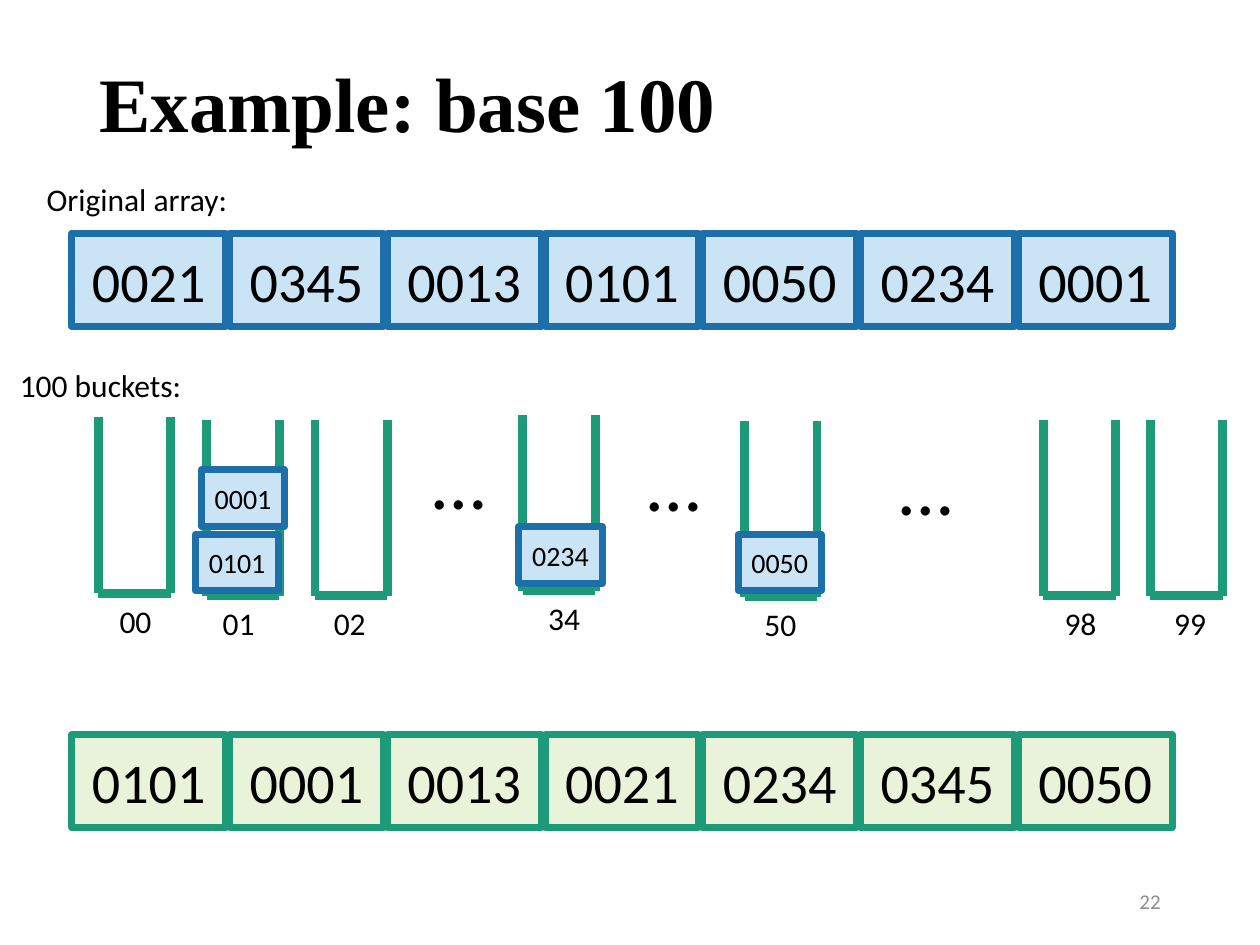
from dataclasses import dataclass

from pptx import Presentation
from pptx.dml.color import RGBColor
from pptx.enum.shapes import MSO_CONNECTOR, MSO_SHAPE
from pptx.enum.text import MSO_ANCHOR, MSO_AUTO_SIZE, PP_ALIGN
from pptx.oxml.ns import qn
from pptx.util import Cm, Pt

RECT, LINE = MSO_SHAPE.RECTANGLE, MSO_CONNECTOR.STRAIGHT
TOP, MID = MSO_ANCHOR.TOP, MSO_ANCHOR.MIDDLE
LEFT, CENTER, RIGHT = PP_ALIGN.LEFT, PP_ALIGN.CENTER, PP_ALIGN.RIGHT
GROW, FIXED = MSO_AUTO_SIZE.SHAPE_TO_FIT_TEXT, MSO_AUTO_SIZE.NONE


@dataclass(frozen=True)
class Theme:
    body: str = "Calibri"
    head: str = "Times New Roman"
    ink: str = "000000"
    gray: str = "8C8C8C"
    blue: str = "1D6FA9"
    sky: str = "CAE4F6"
    green: str = "1D9A78"
    lime: str = "E8F3DA"
    title: int = 44
    dots: int = 44
    cell: int = 32
    label: int = 18
    item: int = 16
    page: int = 12
    edge: int = 4
    wall: int = 5


CELL_W, CELL_H, STEP = 3.1, 1.88, 3.18
ROW_X = 1.45
BIN_W, BIN_H = 1.46, 3.55

# label, left of bucket, top of bucket, left of label
BINS = [
    ("00", 1.98, 8.41, 2.16),
    ("01", 4.17, 8.46, 4.24),
    ("02", 6.35, 8.46, 6.48),
    ("34", 10.54, 8.36, 10.8),
    ("50", 15.01, 8.48, 15.16),
    ("98", 21.03, 8.46, 21.21),
    ("99", 23.19, 8.46, 23.42),
]
DOTS = [(8.46, 8.59), (12.8, 8.64), (17.88, 8.71)]
ITEMS = [
    ("0101", 3.94, 10.77),
    ("0001", 4.06, 9.47),
    ("0050", 14.88, 10.77),
    ("0234", 10.46, 10.62),
]
BEFORE = ["0021", "0345", "0013", "0101", "0050", "0234", "0001"]
AFTER = ["0101", "0001", "0013", "0021", "0234", "0345", "0050"]


def apply(obj, fmt):
    for name, value in fmt.items():
        setattr(obj, name, value)


class Board:
    """Holds the theme and the slide being drawn; lengths are in cm."""

    def __init__(self, slide, theme):
        self.slide, self.theme = slide, theme

    def letter(self, shape, text, size, align=LEFT, anchor=TOP, fit=FIXED,
               color=None, font=None, bold=False):
        """Put one styled paragraph in a shape and return it."""
        frame = shape.text_frame
        frame.text = text
        apply(frame, {"word_wrap": True, "auto_size": fit,
                      "vertical_anchor": anchor})
        para = frame.paragraphs[0]
        para.alignment = align
        face = para.runs[0].font
        apply(face, {"name": font or self.theme.body, "size": Pt(size),
                     "bold": bold})
        face.color.rgb = RGBColor.from_string(color or self.theme.ink)
        return para

    def title(self, text, x, y, w, h):
        shape = self.slide.shapes.title
        apply(shape, {"left": Cm(x), "top": Cm(y),
                      "width": Cm(w), "height": Cm(h)})
        para = self.letter(shape, text, self.theme.title, anchor=MID,
                           font=self.theme.head, bold=True)
        para.line_spacing = 0.9

    def text(self, text, x, y, w, h, size, **style):
        box = self.slide.shapes.add_textbox(Cm(x), Cm(y), Cm(w), Cm(h))
        self.letter(box, text, size, **style)

    def label(self, text, x, y, w):
        self.text(text, x, y, w, 1.03, self.theme.label, fit=GROW)

    def box(self, text, x, y, w, h, size, fill, edge):
        shape = self.slide.shapes.add_shape(RECT, Cm(x), Cm(y), Cm(w), Cm(h))
        shape.shadow.inherit = False
        shape.fill.solid()
        shape.fill.fore_color.rgb = RGBColor.from_string(fill)
        shape.line.color.rgb = RGBColor.from_string(edge)
        shape.line.width = Pt(self.theme.edge)
        self.letter(shape, text, size, align=CENTER, anchor=MID)

    def row(self, values, y, fill, edge):
        for i, value in enumerate(values):
            self.box(value, ROW_X + i * STEP, y, CELL_W, CELL_H,
                     self.theme.cell, fill, edge)

    def line(self, x1, y1, x2, y2):
        line = self.slide.shapes.add_connector(
            LINE, Cm(x1), Cm(y1), Cm(x2), Cm(y2))
        line.line.color.rgb = RGBColor.from_string(self.theme.green)
        line.line.width = Pt(self.theme.wall)
        props = line.element.spPr
        props.append(props.makeelement(qn("a:effectLst"), {}))

    def bucket(self, x, y):
        end, base = x + BIN_W, y + BIN_H
        self.line(x, y, x, base)
        self.line(end, y, end, base)
        self.line(end, base, x, base)


def main():
    deck = Presentation()
    deck.slide_width, deck.slide_height = Cm(25.4), Cm(19.05)
    theme = Theme()
    board = Board(deck.slides.add_slide(deck.slide_layouts[5]), theme)

    board.title("Example: base 100", 1.75, 1.02, 21.9, 2.31)
    board.row(BEFORE, 4.7, theme.sky, theme.blue)
    board.label("Original array:", 0.69, 3.51, 8.23)

    board.label("100 buckets:", 0.15, 7.26, 3.89)
    for name, x, y, mark in BINS:
        board.bucket(x, y)
        board.label(name, mark, y + 3.6, 1.35)
    for x, y in DOTS:
        board.text("…", x, y, 2.72, 2.13, theme.dots, fit=GROW)

    board.row(AFTER, 14.81, theme.lime, theme.green)
    for value, x, y in ITEMS:
        board.box(value, x, y, 1.68, 1.14, theme.item, theme.sky, theme.blue)
    board.text("22", 17.93, 17.65, 5.72, 1.02, theme.page,
               align=RIGHT, anchor=MID, color=theme.gray)
    deck.save("out.pptx")


if __name__ == "__main__":
    main()
